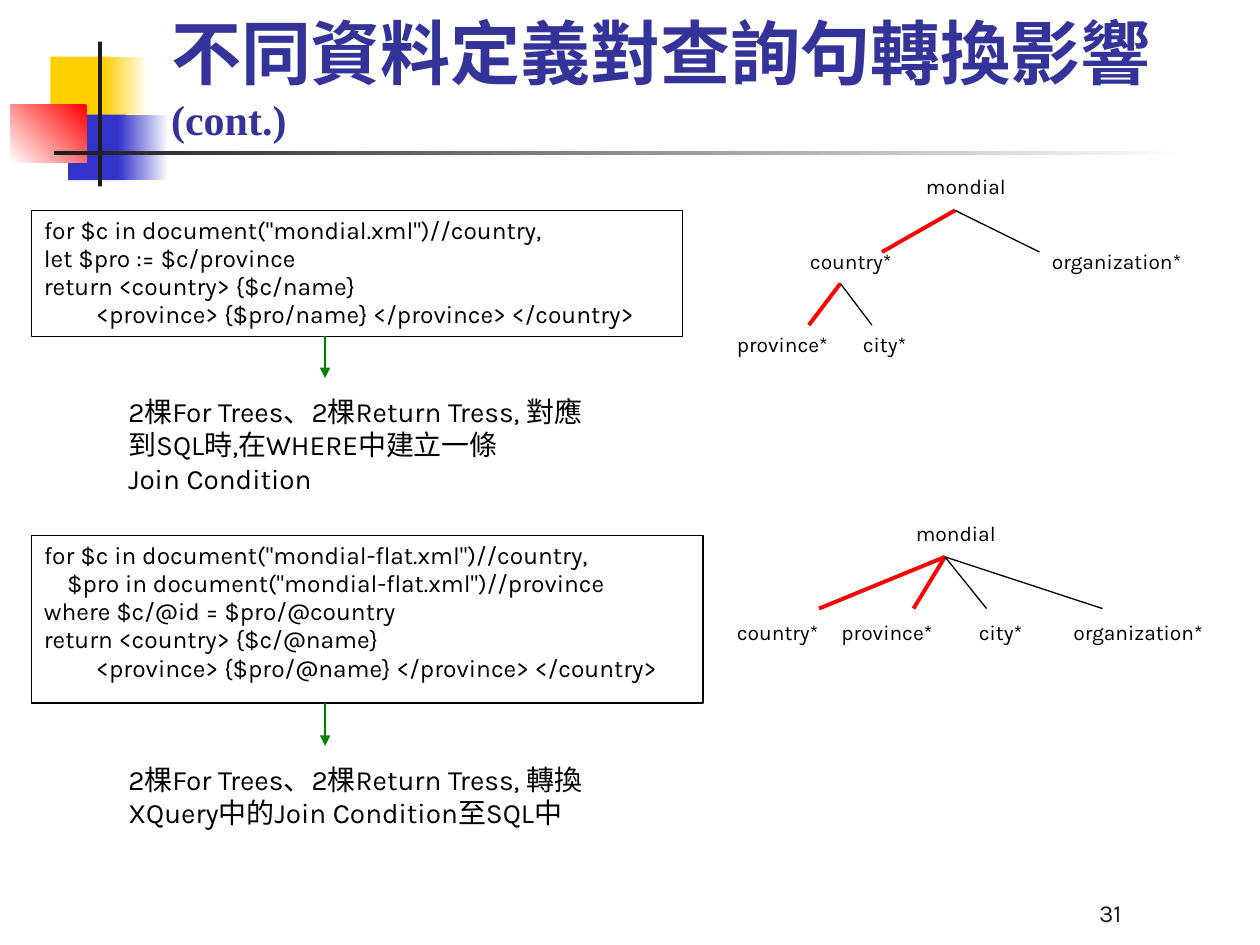
"""Build the slide on how data definitions affect query translation."""
from lxml.etree import SubElement
from pptx import Presentation
from pptx.dml.color import RGBColor
from pptx.enum.shapes import MSO_CONNECTOR, MSO_SHAPE
from pptx.enum.text import MSO_ANCHOR, PP_ALIGN
from pptx.oxml.ns import qn
from pptx.util import Pt

PX = 9144
COLORS = {
    "white": "FFFFFF", "black": "000000", "ink": "1C1C1C", "title": "333399",
    "yellow": "FFCF01", "blue": "3333CC", "red": "FF0000", "green": "008000",
}
RGB = {name: RGBColor.from_string(value) for name, value in COLORS.items()}

deck = Presentation()
deck.slide_width, deck.slide_height = 1000 * PX, 750 * PX
page = deck.slides.add_slide(deck.slide_layouts[6])


def write(box, lines, size, color="black", font="Karla"):
    frame = box.text_frame
    frame.word_wrap = True
    for index, line in enumerate(lines):
        para = frame.paragraphs[0] if index == 0 else frame.add_paragraph()
        para.text = line
        para.alignment = PP_ALIGN.LEFT
        para.font.size, para.font.name = Pt(size), font
        para.font.color.rgb = RGB[color]
    return frame


def draw_line(start, end, color, width):
    line = page.shapes.add_connector(
        MSO_CONNECTOR.STRAIGHT, *[value * PX for value in (*start, *end)])
    line.line.color.rgb = RGB[color]
    line.line.width = Pt(width)
    SubElement(line._element.spPr, qn("a:effectLst"))
    return line


decorations = [
    ((40, 45, 48, 52), ["yellow"], 0),
    ((82, 45, 36, 52), ["white", "yellow"], 180),
    ((54, 91, 46, 52), ["blue"], 0),
    ((94, 91, 40, 52), ["white", "blue"], 180),
    ((8, 83, 61, 46), ["red", "white"], 225),
    ((78, 33, 3, 115), ["ink"], 0),
    ((43, 120, 900, 3), ["white", "ink"], 180),
]
for place, colors, angle in decorations:
    block = page.shapes.add_shape(MSO_SHAPE.RECTANGLE, *[value * PX for value in place])
    block.shadow.inherit = False
    block.line.fill.background()
    if len(colors) == 1:
        block.fill.solid()
        block.fill.fore_color.rgb = RGB[colors[0]]
    else:
        block.fill.gradient()
        block.fill.gradient_angle = angle
        for stop, color, position in zip(block.fill.gradient_stops, colors, (0, 1)):
            stop.color.rgb = RGB[color]
            stop.position = position

title = page.shapes.add_textbox(126 * PX, 33 * PX, 852 * PX, 86 * PX)
title_frame = write(title, ["不同資料定義對查詢句轉換影響 "], 40, "title", "Times New Roman")
title_frame.vertical_anchor = MSO_ANCHOR.BOTTOM
title_para = title_frame.paragraphs[0]
title_para.font.bold = True
span = title_para.add_run()
span.text = "(cont.)"
span.font.size = Pt(24)

queries = [
    ((25, 167, 517, 100), [
        'for $c in document("mondial.xml")//country,',
        "let $pro := $c/province",
        "return <country> {$c/name}",
        "         <province> {$pro/name} </province> </country>",
    ]),
    ((25, 425, 533, 133), [
        'for $c in document("mondial-flat.xml")//country,',
        '    $pro in document("mondial-flat.xml")//province',
        "where $c/@id = $pro/@country",
        "return <country> {$c/@name}",
        "         <province> {$pro/@name} </province> </country>",
    ]),
]
for place, code in queries:
    query = page.shapes.add_shape(MSO_SHAPE.RECTANGLE, *[value * PX for value in place])
    query.shadow.inherit = False
    query.fill.solid()
    query.fill.fore_color.rgb = RGB["white"]
    query.line.color.rgb = RGB["black"]
    query.line.width = Pt(0.75)
    frame = write(query, code, 14)
    frame.vertical_anchor = MSO_ANCHOR.TOP
    for para in frame.paragraphs:
        para.line_spacing = 0.96

nodes = [
    ("mondial", 725, 133), ("country*", 633, 192), ("province*", 575, 258),
    ("city*", 675, 258), ("organization*", 825, 192),
    ("mondial", 717, 408), ("country*", 575, 487), ("province*", 658, 487),
    ("city*", 767, 487), ("organization*", 842, 487),
]
node_sizes = {"province*": (92, 50), "city*": (58, 30), "organization*": (125, 50)}
for name, left, top in nodes:
    width, height = node_sizes.get(name, (92, 30))
    node = page.shapes.add_textbox(left * PX, top * PX, width * PX, height * PX)
    write(node, [name], 12)

branches = [
    ((758, 167), 200, [700], [825]),
    ((667, 225), 258, [642], [692]),
    ((750, 442), 483, [650, 725], [783, 875]),
]
for root, bottom, matched, others in branches:
    for x in matched:
        draw_line(root, (x, bottom), "red", 2.25)
    for x in others:
        draw_line(root, (x, bottom), "black", 0.75)

for top, bottom in [(267, 300), (558, 592)]:
    arrow = draw_line((258, top), (258, bottom), "green", 0.75)
    SubElement(arrow.line._get_or_add_ln(), qn("a:tailEnd"), type="triangle")

notes = [
    (308, "2棵For Trees、2棵Return Tress, 對應到SQL時,在WHERE中建立一條\vJoin Condition"),
    (600, "2棵For Trees、2棵Return Tress, 轉換XQuery中的Join Condition至SQL中"),
]
for top, text in notes:
    note = page.shapes.add_textbox(92 * PX, top * PX, 400 * PX, 90 * PX)
    write(note, [text], 16)

number = page.shapes.add_textbox(692 * PX, 691 * PX, 208 * PX, 50 * PX)
number_frame = write(number, ["31"], 14, "ink")
number_frame.vertical_anchor = MSO_ANCHOR.BOTTOM
number_frame.paragraphs[0].alignment = PP_ALIGN.RIGHT

deck.save("out.pptx")
